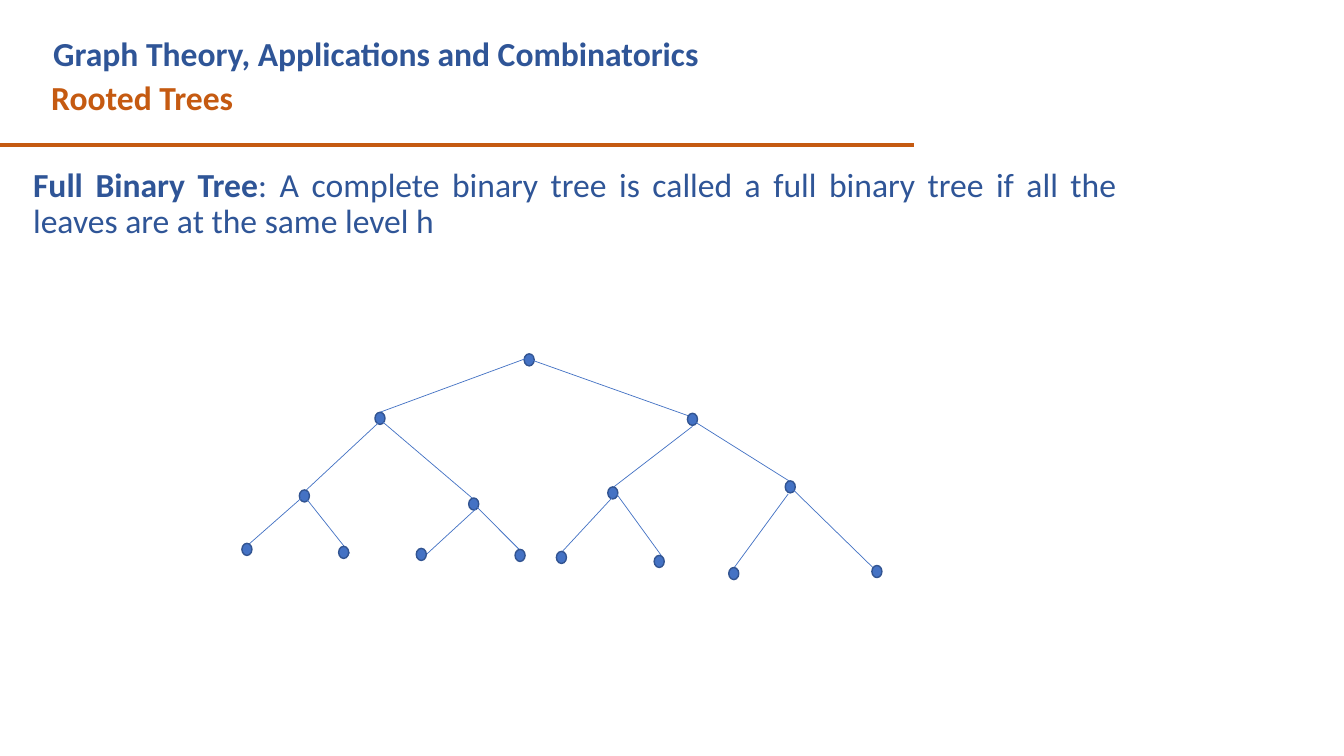
from dataclasses import dataclass

from lxml.etree import SubElement
from pptx import Presentation
from pptx.dml.color import RGBColor
from pptx.enum.shapes import MSO_CONNECTOR, MSO_SHAPE
from pptx.enum.text import MSO_AUTO_SIZE, PP_ALIGN
from pptx.oxml.ns import qn
from pptx.util import Emu, Pt


@dataclass(frozen=True)
class Theme:
    """Colours, font, type size and line widths of the slide."""
    font: str = "Calibri"
    text_size: int = 24
    heading: str = "2F5597"
    accent: str = "C55A11"
    node: str = "4472C4"
    outline: str = "325491"
    rule_width: float = 3
    node_width: float = 1
    branch_width: float = 0.5


class SlideBuilder:
    """Draws themed elements on one page, with 100 px to the inch."""
    PX = 9144

    def __init__(self, deck, theme):
        """Add a blank page to the deck."""
        self.theme = theme
        self.page = deck.slides.add_slide(deck.slide_layouts[6])

    def scale(self, *lengths):
        """Turn px into EMU."""
        return [Emu(length * self.PX) for length in lengths]

    def text(self, area, spans, color, grow=False):
        """Add a text box of one paragraph from (words, bold) spans."""
        box = self.page.shapes.add_textbox(*self.scale(*area))
        frame = box.text_frame
        frame.word_wrap = True
        frame.auto_size = MSO_AUTO_SIZE.SHAPE_TO_FIT_TEXT if grow else MSO_AUTO_SIZE.NONE
        para = frame.paragraphs[0]
        for words, bold in spans:
            span = para.add_run()
            span.text = words
            span.font.name = self.theme.font
            span.font.size = Pt(self.theme.text_size)
            span.font.bold = bold
            span.font.color.rgb = RGBColor.from_string(color)
        return para

    def line(self, ends, color, width):
        """Add a straight line between two points."""
        line = self.page.shapes.add_connector(MSO_CONNECTOR.STRAIGHT, *self.scale(*ends))
        line.line.color.rgb = RGBColor.from_string(color)
        line.line.width = Pt(width)
        SubElement(line._element.spPr, qn("a:effectLst"))

    def node(self, left, top):
        """Add one tree node."""
        dot = self.page.shapes.add_shape(MSO_SHAPE.OVAL, *self.scale(left, top, 10, 12))
        dot.shadow.inherit = False
        dot.fill.solid()
        dot.fill.fore_color.rgb = RGBColor.from_string(self.theme.node)
        dot.line.color.rgb = RGBColor.from_string(self.theme.outline)
        dot.line.width = Pt(self.theme.node_width)

    def tree(self, root, children):
        """Add the root, then each child with the branch leading to it."""
        self.node(*root)
        for position, branch in children:
            self.line(branch, self.theme.node, self.theme.branch_width)
            self.node(*position)


ROOT = (520, 351)
CHILDREN = [
    ((372, 409), (529, 353, 377, 409)),
    ((682, 410), (527, 357, 690, 415)),
    ((297, 486), (377, 418, 304, 486)),
    ((465, 494), (379, 418, 473, 498)),
    ((603, 483), (687, 423, 609, 483)),
    ((779, 477), (687, 417, 789, 481)),
    ((240, 539), (306, 488, 240, 546)),
    ((336, 542), (301, 491, 347, 549)),
    ((413, 544), (472, 505, 422, 551)),
    ((511, 545), (472, 502, 519, 549)),
    ((552, 547), (608, 493, 558, 547)),
    ((649, 551), (611, 489, 656, 551)),
    ((723, 563), (782, 490, 727, 565)),
    ((865, 561), (784, 483, 868, 565)),
]


def main():
    """Build and save the slide."""
    theme = Theme()
    deck = Presentation()
    deck.slide_width, deck.slide_height = Emu(12192000), Emu(6858000)
    slide = SlideBuilder(deck, theme)
    slide.text((43, 28, 820, 50), [("Graph Theory, Applications and Combinatorics", True)],
               theme.heading, grow=True)
    slide.text((41, 71, 875, 50), [("Rooted Trees", True)], theme.accent, grow=True)
    slide.line((-1, 144, 907, 144), theme.accent, theme.rule_width)
    definition = slide.text((23, 162, 1095, 115), [
        ("Full Binary Tree", True),
        (": A complete binary tree is called a full binary tree if all the leaves "
         "are at the same level h", False),
    ], theme.heading)
    definition.alignment = PP_ALIGN.JUSTIFY
    definition.line_spacing = 0.9
    slide.tree(ROOT, CHILDREN)
    deck.save("out.pptx")


if __name__ == "__main__":
    main()
